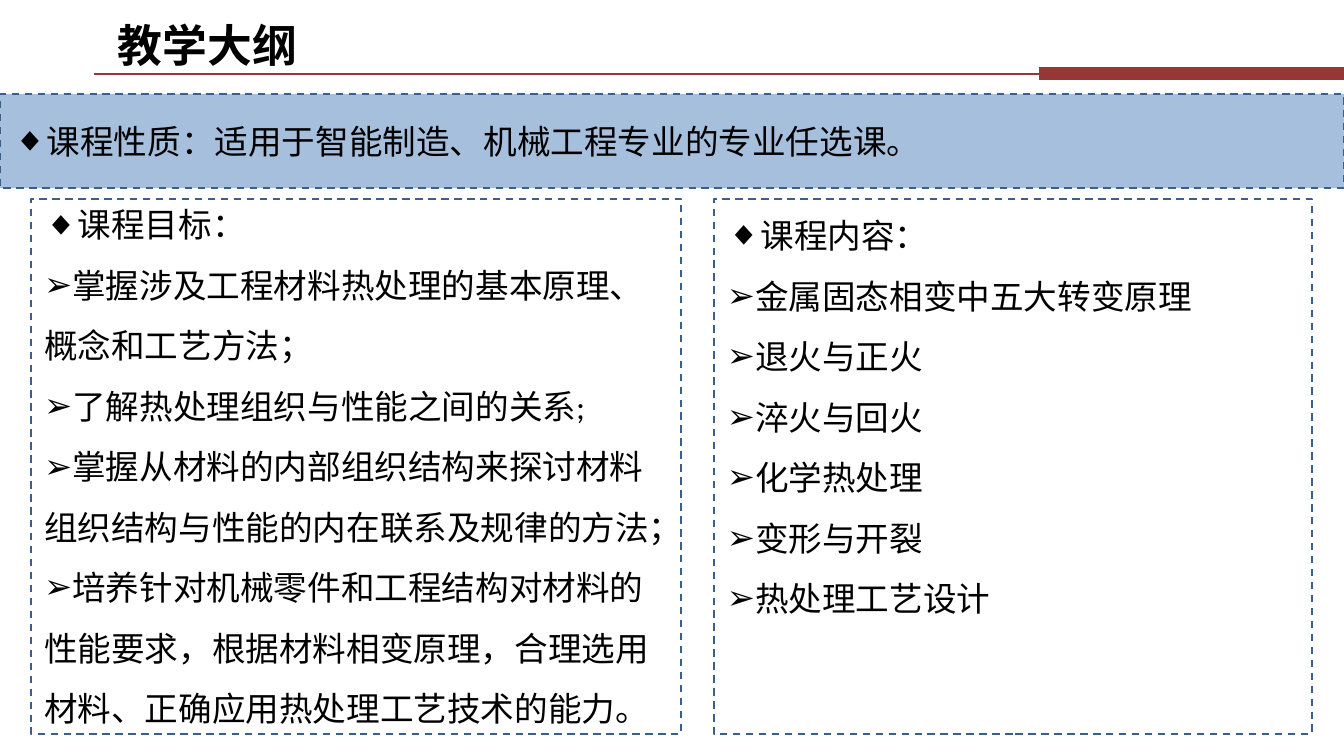
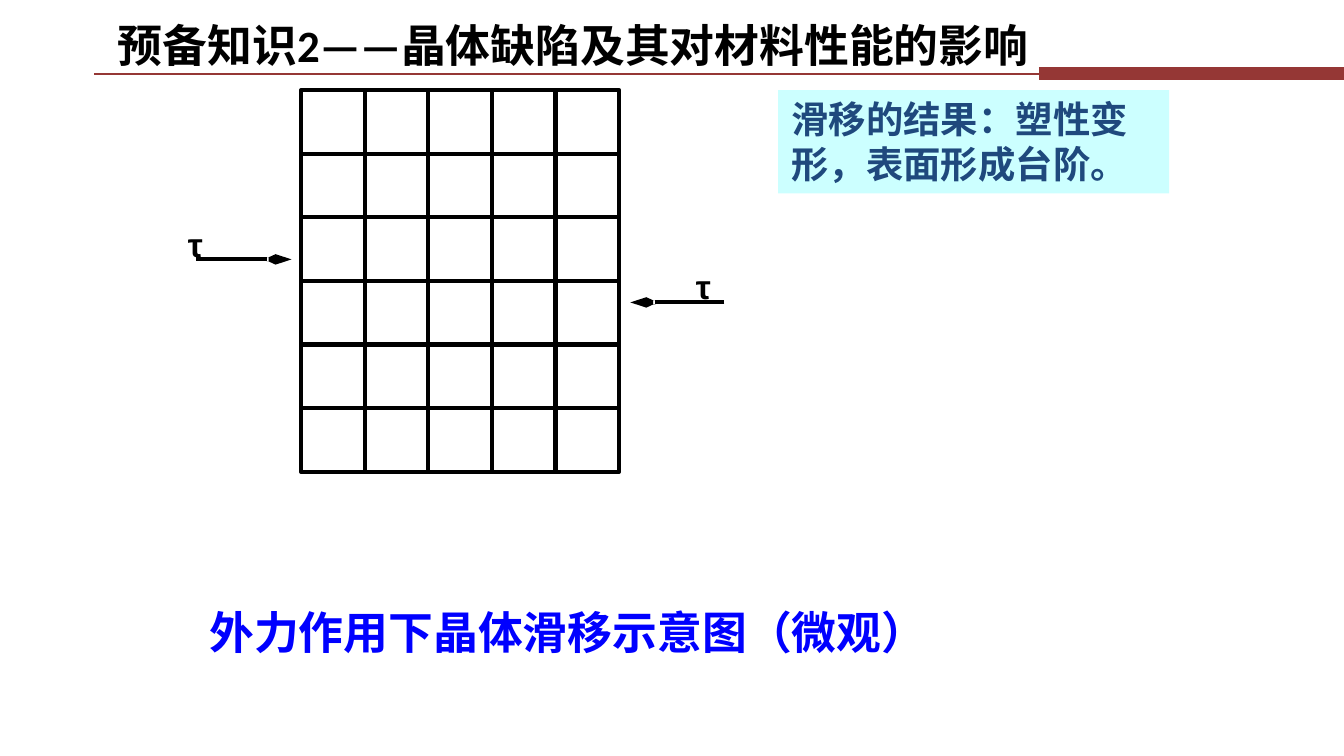
from dataclasses import dataclass

from lxml import etree
from pptx import Presentation
from pptx.dml.color import RGBColor
from pptx.enum.dml import MSO_LINE
from pptx.enum.shapes import MSO_CONNECTOR, MSO_SHAPE
from pptx.enum.text import MSO_ANCHOR, MSO_AUTO_SIZE, PP_ALIGN
from pptx.oxml.ns import qn
from pptx.util import Inches, Pt


@dataclass(frozen=True)
class Theme:
    black: str = "000000"
    rule: str = "953735"
    band: str = "4F81BD"
    border: str = "3A5F8C"
    note_fill: str = "CCFFFF"
    note_text: str = "1F497D"
    caption: str = "0000FF"
    title_size: int = 24
    note_size: int = 20
    body_size: int = 18
    body_font: str = "Calibri"
    label_font: str = "Arial"
    caption_font: str = "Times New Roman"


THEME = Theme()

# Content
SYLLABUS_TITLE = "教学大纲"
NATURE = "课程性质：适用于智能制造、机械工程专业的专业任选课。"
GOALS = ("课程目标：", [
    "掌握涉及工程材料热处理的基本原理、概念和工艺方法；",
    "了解热处理组织与性能之间的关系;",
    "掌握从材料的内部组织结构来探讨材料组织结构与性能的内在联系及规律的方法；",
    "培养针对机械零件和工程结构对材料的性能要求，根据材料相变原理，"
    "合理选用材料、正确应用热处理工艺技术的能力。",
])
TOPICS = ("课程内容：", [
    "金属固态相变中五大转变原理",
    "退火与正火",
    "淬火与回火",
    "化学热处理",
    "变形与开裂",
    "热处理工艺设计",
])

SLIP_TITLE = "预备知识2——晶体缺陷及其对材料性能的影响"
SLIP_RESULT = "滑移的结果：塑性变形，表面形成台阶。"
SLIP_CAPTION = "外力作用下晶体滑移示意图（微观）"
STRESS = "τ"
# Each half of the crystal: top, arrow start, arrow end, arrow height, label corner
CRYSTAL_HALVES = [
    (0.67, 1.46, 2.17, 1.93, (1.3, 1.62)),
    (2.09, 5.39, 4.69, 2.25, (5.08, 1.93)),
]
CRYSTAL_LEFT, COLUMNS, ROWS = 2.24, 5, 3
CELL = 1.42 / ROWS


def rgb(value):
    return RGBColor.from_string(value)


def add_line(shapes, x1, y1, x2, y2, color, width, arrow=False):
    line = shapes.add_connector(MSO_CONNECTOR.STRAIGHT, *map(Inches, (x1, y1, x2, y2)))
    line.line.color.rgb = rgb(color)
    line.line.width = Pt(width)
    if arrow:
        head = etree.SubElement(line.line._get_or_add_ln(), qn("a:tailEnd"))
        for key, value in (("type", "arrow"), ("w", "sm"), ("len", "lg")):
            head.set(key, value)
    etree.SubElement(line._element.spPr, qn("a:effectLst"))


def add_box(shapes, at, fill=None, line=None, width=1.0, dashed=False):
    box = shapes.add_shape(MSO_SHAPE.RECTANGLE, *map(Inches, at))
    box.shadow.inherit = False
    if fill:
        box.fill.solid()
        box.fill.fore_color.rgb = rgb(fill)
    else:
        box.fill.background()
    if line:
        box.line.color.rgb = rgb(line)
        box.line.width = Pt(width)
        if dashed:
            box.line.dash_style = MSO_LINE.DASH
    else:
        box.line.fill.background()
    return box


def style(paragraph, font, size, color, bold=False):
    paragraph.alignment = PP_ALIGN.LEFT
    for run in paragraph.runs:
        run.font.name = font
        run.font.size = Pt(size)
        run.font.color.rgb = rgb(color)
        run.font.bold = bold


def write(shape, text, font, size, color):
    """One bold paragraph in a wrapping frame."""
    frame = shape.text_frame
    frame.text = text
    frame.word_wrap = True
    frame.auto_size = MSO_AUTO_SIZE.SHAPE_TO_FIT_TEXT
    frame.vertical_anchor = MSO_ANCHOR.TOP
    style(frame.paragraphs[0], font, size, color, bold=True)


def add_label(shapes, at, text, font, size, color):
    write(shapes.add_textbox(*map(Inches, at)), text, font, size, color)


def add_bullet(paragraph, mark, hang=0.0):
    props = paragraph._p.get_or_add_pPr()
    props.set("marL", str(Inches(hang)))
    props.set("indent", str(-Inches(hang)))
    etree.SubElement(props, qn("a:buFont")).set("typeface", THEME.label_font)
    etree.SubElement(props, qn("a:buChar")).set("char", mark)


def write_list(shape, heading, items=()):
    """A diamond heading followed by arrow items."""
    frame = shape.text_frame
    frame.text = "\n".join([heading, *items])
    frame.word_wrap = True
    frame.vertical_anchor = MSO_ANCHOR.MIDDLE
    for index, paragraph in enumerate(frame.paragraphs):
        if index:
            add_bullet(paragraph, "➢")
            paragraph.line_spacing = 1.5
        else:
            add_bullet(paragraph, "◆", hang=0.25)
        style(paragraph, THEME.body_font, THEME.body_size, THEME.black)


def add_titled_slide(deck, title, title_width):
    shapes = deck.slides.add_slide(deck.slide_layouts[6]).shapes
    add_line(shapes, 0.7, 0.55, 7.73, 0.55, THEME.rule, 1.5)
    add_line(shapes, 7.73, 0.55, 10, 0.55, THEME.rule, 7)
    add_label(shapes, (0.78, 0.08, title_width, 0.5), title,
              THEME.body_font, THEME.title_size, THEME.black)
    return shapes


def build_syllabus(deck):
    shapes = add_titled_slide(deck, SYLLABUS_TITLE, 1.56)

    # Half-transparent band for the course nature
    nature = add_box(shapes, (0, 0.7, 10, 0.7), THEME.band, THEME.border, dashed=True)
    tint = nature._element.spPr.find(qn("a:solidFill"))[0]
    etree.SubElement(tint, qn("a:alpha")).set("val", "50000")
    write_list(nature, NATURE)

    # Goals and topics side by side
    goals, topics = (
        add_box(shapes, (left, 1.48, width, 3.98), line=THEME.border, dashed=True)
        for left, width in ((0.23, 4.84), (5.31, 4.45)))
    write_list(goals, *GOALS)
    write_list(topics, *TOPICS)
    topics.text_frame.vertical_anchor = MSO_ANCHOR.TOP
    topics.text_frame.margin_top = Inches(0.12)


def add_crystal_half(shapes, top, arrow_from, arrow_to, arrow_y, label_at):
    half = shapes.add_group_shape().shapes
    right, bottom = CRYSTAL_LEFT + COLUMNS * CELL, top + ROWS * CELL
    ink = (THEME.black, 2.25)
    add_box(half, (CRYSTAL_LEFT, top, COLUMNS * CELL, ROWS * CELL), None, *ink)
    for column in range(1, COLUMNS):
        x = CRYSTAL_LEFT + column * CELL
        add_line(half, x, top, x, bottom, *ink)
    for row in range(1, ROWS):
        y = top + row * CELL
        add_line(half, CRYSTAL_LEFT, y, right, y, *ink)
    add_line(half, arrow_from, arrow_y, arrow_to, arrow_y, *ink, arrow=True)
    add_label(half, (*label_at, 0.47, 0.4), STRESS,
              THEME.label_font, THEME.body_size, THEME.black)


def build_slip(deck):
    shapes = add_titled_slide(deck, SLIP_TITLE, 7)
    for half in CRYSTAL_HALVES:
        add_crystal_half(shapes, *half)

    # Result note and caption
    result = add_box(shapes, (5.79, 0.67, 2.91, 0.77), THEME.note_fill)
    write(result, SLIP_RESULT, THEME.label_font, THEME.note_size, THEME.note_text)
    add_label(shapes, (1.46, 4.45, 5.56, 0.5), SLIP_CAPTION,
              THEME.caption_font, THEME.title_size, THEME.caption)


def main():
    deck = Presentation()
    # Widescreen, 16 to 9
    deck.slide_width = Inches(10)
    deck.slide_height = deck.slide_width * 9 // 16
    build_syllabus(deck)
    build_slip(deck)
    deck.save("out.pptx")


if __name__ == "__main__":
    main()
